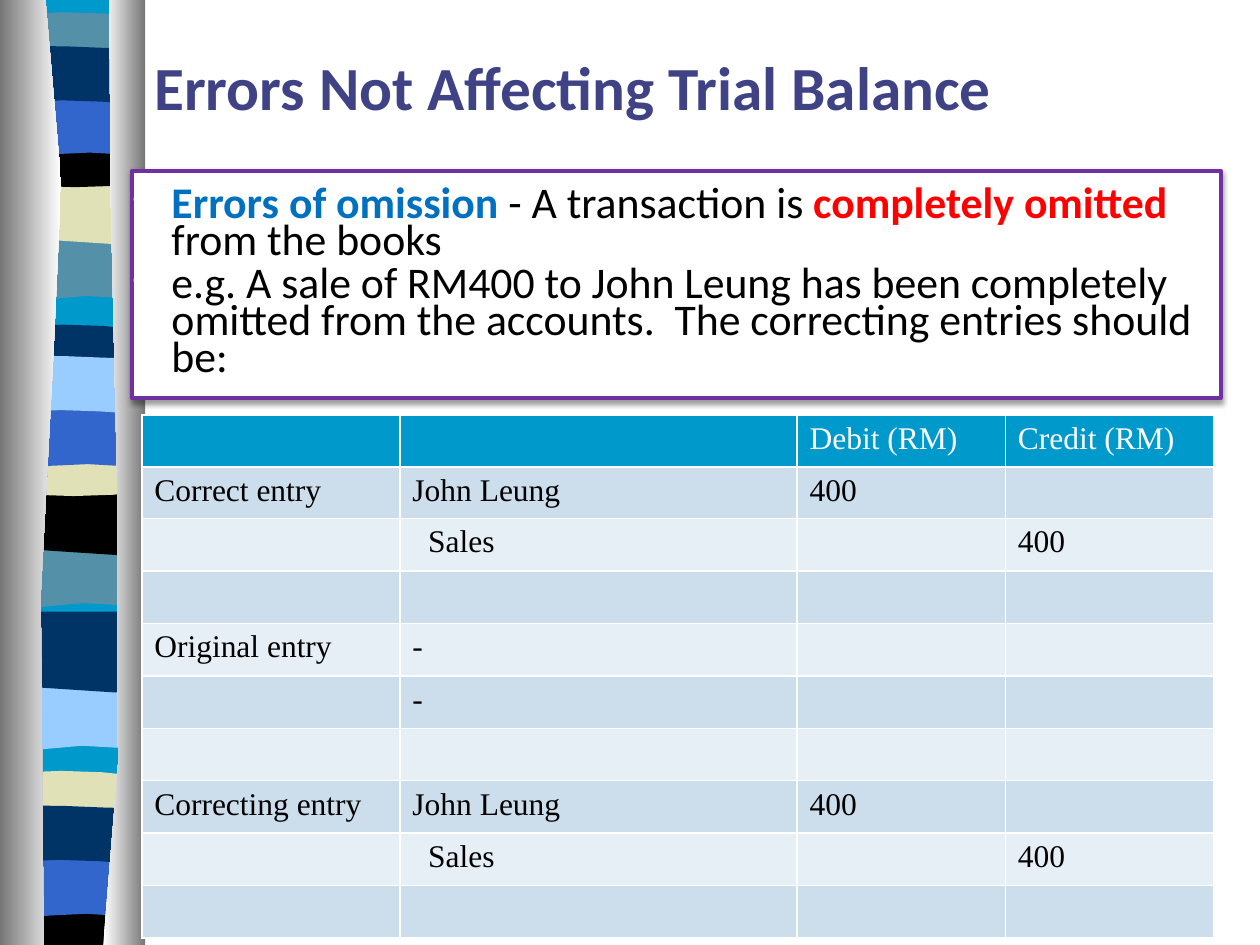
import pptx
import pptx.dml.color
import pptx.enum.text
import pptx.oxml
import pptx.util

Pt = pptx.util.Pt
NS = "http://schemas.openxmlformats.org/drawingml/2006/main"

SKY, SLATE, CREAM, BLACK = "0099CC", "5490A8", "E1E1B7", "000000"
BLUE, NAVY, PALE, WHITE, GREY = "3366CC", "003366", "99CCFF", "FFFFFF", "767676"

# Ribbon outlines in points: pairs are corners, sixes are Bezier curves
SWELL = [(78, 0), (78, 38.5), (24, 32, 13, 45, 0, 38.5), (0, 0)]
RIPPLE = [(78, -6), (78, 38.5), (65, 44, 24, 34, 0, 38.5), (0, -6)]
LENS = [(78, 0), (78, 25), (65, 28, 13, 28, 0, 25), (0, 0),
        (11, -4, 51, -4, 78, 0)]
DISH = [(78, 0), (78, 27), (65, 31, 13, 31, 0, 27), (0, 0),
        (48, 4, 61, 0, 78, 0)]
ARCH = [(78, 0), (78, 38.5), (60, 33.5, 40, 33.5, 0, 38.5), (0, 0)]
WAVE = [(78, 0), (78, 30.5), (68, 33, 50, 27, 0, 30.5), (0, 0),
        (11, -4, 53, 0, 78, 0)]
BACKING = [(78, 0), (78, 539), (0, 539), (0, 0)]
LEFT_EDGE = [(26, 0), (52, 156, 12, 214, 25, 540), (0, 540), (0, 0)]
RIGHT_EDGE = [(62.5, 0), (59, 90, 79, 465, 59, 540), (83, 540), (83, 0)]

# Each group of bands: left, then outline, colour and top, back to front
BAND_GROUPS = [
    (4, [(BACKING, SKY, -1), (SWELL, SLATE, 132.5), (RIPPLE, CREAM, 99.5),
         (LENS, SLATE, 10), (DISH, BLACK, 77), (ARCH, BLUE, 52.5),
         (WAVE, NAVY, 28)]),
    (3, [(SWELL, SLATE, 308), (RIPPLE, BLACK, 277), (LENS, NAVY, 188.5),
         (DISH, CREAM, 253.5), (ARCH, BLUE, 230.5), (WAVE, PALE, 205)]),
    (2, [(SWELL, PALE, 389.5), (RIPPLE, NAVY, 355.5), (LENS, CREAM, 443.5),
         (DISH, BLACK, 512.5), (ARCH, BLUE, 487.5), (WAVE, NAVY, 462)]),
]

EXPLANATION = [
    [("Errors of omission ", "0070C0", True),
     ("- A transaction is ", BLACK, False),
     ("completely omitted", "FF0000", True),
     (" from the books", BLACK, False)],
    [("e.g. A sale of RM400 to John Leung has been completely omitted from "
      "the accounts.  The correcting entries should be:", BLACK, False)],
]

ENTRIES = [
    ["", "", "Debit (RM)", "Credit (RM)"],
    ["Correct entry", "John Leung", "400", ""],
    ["", "  Sales", "", "400"],
    [""] * 4,
    ["Original entry", "-", "", ""],
    ["", "-", "", ""],
    [""] * 4,
    ["Correcting entry", "John Leung", "400", ""],
    ["", "  Sales", "", "400"],
    [""] * 4,
]


def color(hex_text):
    return pptx.dml.color.RGBColor.from_string(hex_text)


def xml(text):
    """Parse one drawing element, adding the namespace to its root tag."""
    end = min(text.index(mark) for mark in " />" if mark in text)
    return pptx.oxml.parse_xml(f'{text[:end]} xmlns:a="{NS}"{text[end:]}')


def flatten(outline, steps=4):
    """Turn corners and curves into a short list of points."""
    points = [outline[0]]
    for part in outline[1:]:
        if len(part) == 2:
            points.append(part)
            continue
        curve = [points[-1], part[:2], part[2:4], part[4:]]
        for step in range(1, steps + 1):
            t = step / steps
            weights = ((1 - t) ** 3, 3 * t * (1 - t) ** 2,
                       3 * t * t * (1 - t), t ** 3)
            points.append(tuple(sum(w * p[axis] for w, p in zip(weights, curve))
                                for axis in (0, 1)))
    return points


class SlideBuilder:
    heading_font = "Calibri"
    table_font = "Times New Roman"

    def __init__(self, slide):
        self.slide = slide

    def run(self, paragraph, text, font, size, hex_text, bold=False):
        run = paragraph.add_run()
        run.text = text
        run.font.name, run.font.size, run.font.bold = font, Pt(size), bold
        run.font.color.rgb = color(hex_text)

    def outline(self, outline, left, top, *colors):
        """Draw a filled outline; two colours make a gradient to the right."""
        points = [(Pt(left + x), Pt(top + y)) for x, y in flatten(outline)]
        builder = self.slide.shapes.build_freeform(*points[0])
        builder.add_line_segments(points[1:], close=True)
        band = builder.convert_to_shape()
        band.shadow.inherit = False
        band.line.fill.background()
        if len(colors) == 1:
            band.fill.solid()
            band.fill.fore_color.rgb = color(colors[0])
        else:
            band.fill.gradient()
            band.fill.gradient_angle = 0
            for stop, hex_text in zip(band.fill.gradient_stops, colors):
                stop.color.rgb = color(hex_text)

    def place(self, holder, left, top, width, height):
        """Position a placeholder and bring it to the front."""
        holder.left, holder.top = Pt(left), Pt(top)
        holder.width, holder.height = Pt(width), Pt(height)
        self.slide.shapes._spTree.append(holder._element)
        frame = holder.text_frame
        frame.word_wrap = True
        frame.auto_size = pptx.enum.text.MSO_AUTO_SIZE.NONE
        frame.vertical_anchor = pptx.enum.text.MSO_ANCHOR.MIDDLE
        return frame

    def indent(self, paragraph, size):
        paragraph.alignment = pptx.enum.text.PP_ALIGN.LEFT
        properties = paragraph._p.get_or_add_pPr()
        properties.set("marL", str(Pt(size)))
        properties.set("indent", str(-Pt(size)))
        return properties

    def title(self, text, *box):
        paragraph = self.place(self.slide.shapes.title, *box).paragraphs[0]
        self.indent(paragraph, 57)
        self.run(paragraph, text, self.heading_font, 35, "3F4284", True)

    def body(self, paragraphs, *box):
        holder = self.slide.placeholders[1]
        frame = self.place(holder, *box)
        frame.margin_left, frame.margin_right = 0, Pt(1.5)
        holder.fill.solid()
        holder.fill.fore_color.rgb = color(WHITE)
        holder.line.color.rgb = color("7030A0")
        holder.line.width = Pt(2.25)
        holder._element.spPr.append(xml(
            f'<a:effectLst><a:outerShdw blurRad="{Pt(3.1)}" dist="{Pt(1.6)}" '
            'dir="5400000" rotWithShape="0"><a:srgbClr val="000000">'
            '<a:alpha val="38000"/></a:srgbClr></a:outerShdw></a:effectLst>'))
        for number, runs in enumerate(paragraphs):
            paragraph = frame.add_paragraph() if number else frame.paragraphs[0]
            paragraph.line_spacing, paragraph.space_before = 0.7, Pt(4)
            properties = self.indent(paragraph, 22.5)
            for bullet in (f'<a:buClr><a:srgbClr val="{WHITE}"/></a:buClr>',
                           '<a:buSzPct val="95000"/>', '<a:buChar char="•"/>'):
                properties.append(xml(bullet))
            for text, hex_text, bold in runs:
                self.run(paragraph, text, self.heading_font, 25, hex_text, bold)

    def table(self, rows, left, top, widths, heights):
        table = self.slide.shapes.add_table(
            len(rows), len(widths), Pt(left), Pt(top),
            Pt(sum(widths)), Pt(sum(heights))).table
        for column, width in zip(table.columns, widths):
            column.width = Pt(width)
        for number, (row, height) in enumerate(zip(rows, heights)):
            table.rows[number].height = Pt(height)
            fill = ("E7EFF6", "CCDEEC")[number % 2] if number else SKY
            for position, text in enumerate(row):
                self.cell(table.cell(number, position), text, fill,
                          BLACK if number else WHITE)

    def cell(self, cell, text, fill, hex_text):
        cell.fill.solid()
        cell.fill.fore_color.rgb = color(fill)
        properties = cell._tc.get_or_add_tcPr()
        for order, side in enumerate("LRTB"):
            properties.insert(order, xml(
                f'<a:ln{side} w="{Pt(1)}"><a:solidFill><a:srgbClr '
                f'val="{WHITE}"/></a:solidFill></a:ln{side}>'))
        if text:
            self.run(cell.text_frame.paragraphs[0], text, self.table_font, 18,
                     hex_text)


def main():
    deck = pptx.Presentation()
    deck.slide_width, deck.slide_height = Pt(720), Pt(540)
    builder = SlideBuilder(deck.slides.add_slide(deck.slide_layouts[1]))

    # Ribbon down the left side
    for left, bands in BAND_GROUPS:
        for outline, hex_text, top in bands:
            builder.outline(outline, left, top, hex_text)
    builder.outline(LEFT_EDGE, 0, 0, GREY, WHITE)
    builder.outline(RIGHT_EDGE, 0, 0, WHITE, GREY)

    # Explanation, title and journal entries
    builder.body(EXPLANATION, 75.5, 97.5, 622, 130)
    builder.title("Errors Not Affecting Trial Balance", 81, 9.5, 611, 79)
    builder.table(ENTRIES, 81, 237, [147.5, 227, 119, 119],
                  [30, 29] + [30] * 8)
    deck.save("out.pptx")


if __name__ == "__main__":
    main()
